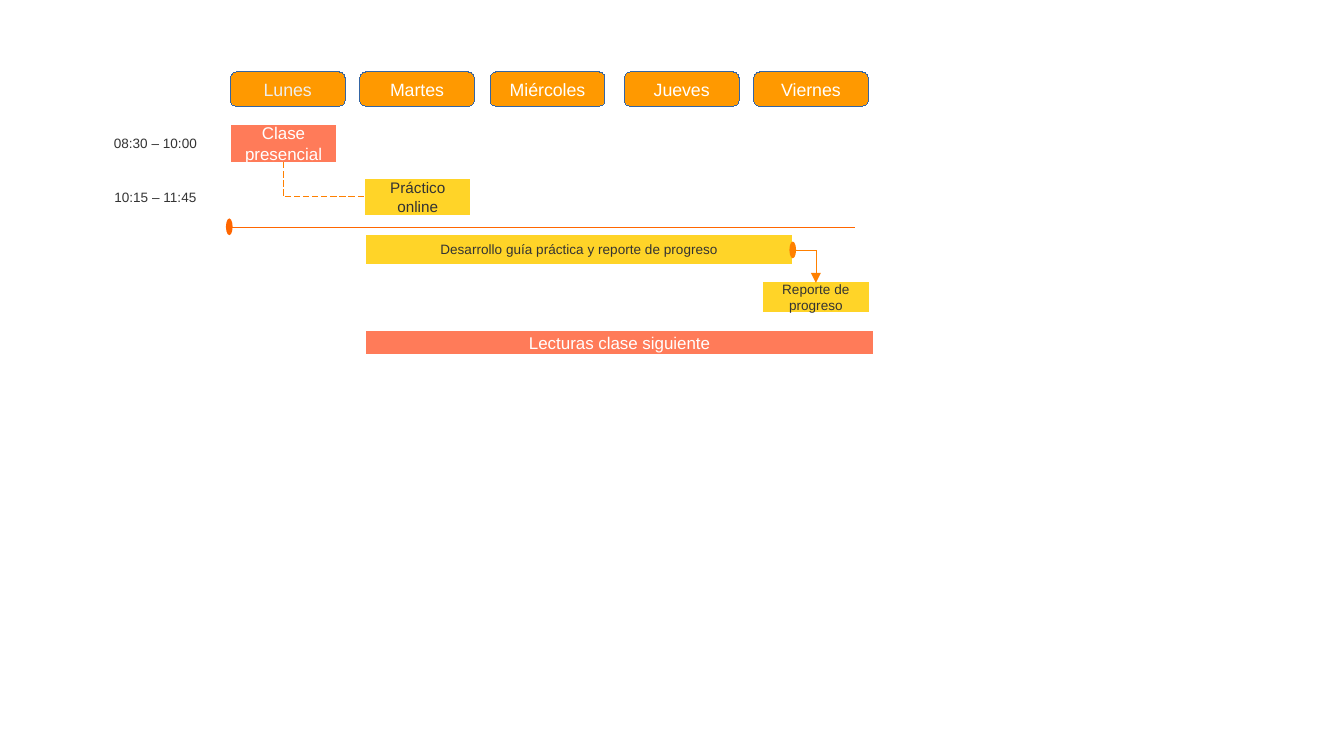
from typing import NamedTuple

from pptx import Presentation, util as u
from pptx.dml.color import RGBColor
from pptx.enum import dml, shapes, text
from pptx.oxml import ns, xmlchemy

ORANGE, CORAL, YELLOW = "FF9900", "FF7B59", "FFD428"
WHITE, DARK, BLUE = "FFFFFF", "333333", "3465A4"
RECTANGLE = shapes.MSO_SHAPE.RECTANGLE
ROUNDED = shapes.MSO_SHAPE.ROUNDED_RECTANGLE
# A width of exactly zero would fall back to the thicker theme line
HAIRLINE = u.Pt(0.01)


class Block(NamedTuple):
    label: str
    left: float
    top: float
    width: float
    height: float
    fill: str
    size: float
    color: str = DARK
    line: str = WHITE
    kind: shapes.MSO_SHAPE = RECTANGLE


class Link(NamedTuple):
    begin: tuple[float, float]
    end: tuple[float, float]
    color: str
    preset: str = "line"
    rotation: int = 0
    dashed: bool = False
    head: str = ""
    tail: str = ""


# Weekdays across the top
DAYS = [
    Block(day, left, 0.59, 0.94, 0.28, ORANGE, 10.5, color, BLUE, ROUNDED)
    for day, left, color in [
        ("Lunes", 1.89, "EEEEEE"),
        ("Martes", 2.95, WHITE),
        ("Miércoles", 4.02, WHITE),
        ("Jueves", 5.12, WHITE),
        ("Viernes", 6.18, WHITE),
    ]
]

# Time slots down the left
HOURS = [
    Block(hours, 0.71, top, 1.13, 0.31, WHITE, 8)
    for hours, top in [("08:30 – 10:00", 1.02), ("10:15 – 11:45", 1.46)]
]

# Activities in the calendar
ACTIVITIES = [
    Block("Clase presencial", 1.89, 1.02, 0.87, 0.31, CORAL, 10, WHITE),
    Block("Práctico\nonline", 2.99, 1.46, 0.87, 0.31, YELLOW, 9),
    Block("Desarrollo guía práctica y reporte de progreso",
          3, 1.92, 3.5, 0.25, YELLOW, 8),
    Block("Reporte de progreso", 6.25, 2.31, 0.88, 0.25, YELLOW, 8),
    Block("Lecturas clase siguiente", 3, 2.71, 4.16, 0.2, CORAL, 10, WHITE),
]

# Divider, class to practice, and work to report
LINKS = [
    Link((1.88, 1.86), (7.01, 1.86), "FF6600", head="oval"),
    Link((2.8, 1.14), (2.52, 1.81), "FF8000", "bentConnector2",
         rotation=270, dashed=True),
    Link((6.5, 2.05), (6.69, 2.32), "FF8000", "bentConnector2",
         head="oval", tail="triangle"),
]
END_SIZES = {"oval": ("lg", "sm"), "triangle": ("med", "med")}


def rgb(value: str) -> RGBColor:
    return RGBColor.from_string(value)


def write_text(shape, content: str, *, size: float, color: str,
               font: str = "Arial") -> None:
    frame = shape.text_frame
    frame.word_wrap = True
    frame.vertical_anchor = text.MSO_ANCHOR.MIDDLE
    frame.text = content
    for paragraph in frame.paragraphs:
        paragraph.alignment = text.PP_ALIGN.CENTER
        paragraph.font.name = font
        paragraph.font.size = u.Pt(size)
        paragraph.font.color.rgb = rgb(color)


def draw_block(slide, block: Block) -> None:
    shape = slide.shapes.add_shape(
        block.kind, u.Inches(block.left), u.Inches(block.top),
        u.Inches(block.width), u.Inches(block.height))
    shape.shadow.inherit = False
    shape.fill.solid()
    shape.fill.fore_color.rgb = rgb(block.fill)
    shape.line.color.rgb = rgb(block.line)
    shape.line.width = HAIRLINE
    write_text(shape, block.label, size=block.size, color=block.color)


def draw_link(slide, link: Link) -> None:
    connector = slide.shapes.add_connector(
        shapes.MSO_CONNECTOR.STRAIGHT,
        *(u.Inches(value) for value in link.begin + link.end))
    connector.line.color.rgb = rgb(link.color)
    connector.line.width = HAIRLINE
    if link.dashed:
        connector.line.dash_style = dml.MSO_LINE.DASH

    # Geometry, line ends and no shadow
    properties = connector._element.spPr
    properties.find(ns.qn("a:prstGeom")).set("prst", link.preset)
    if link.rotation:
        properties.find(ns.qn("a:xfrm")).set("rot", str(link.rotation * 60000))
    outline = properties.find(ns.qn("a:ln"))
    for tag, end in (("a:headEnd", link.head), ("a:tailEnd", link.tail)):
        if end:
            width, length = END_SIZES[end]
            marker = xmlchemy.OxmlElement(tag)
            marker.set("type", end)
            marker.set("w", width)
            marker.set("len", length)
            outline.append(marker)
    properties.append(xmlchemy.OxmlElement("a:effectLst"))


def main() -> None:
    presentation = Presentation()
    presentation.slide_width = u.Inches(11.02)
    presentation.slide_height = u.Inches(6.2)
    slide = presentation.slides.add_slide(presentation.slide_layouts[6])
    for block in DAYS + HOURS + ACTIVITIES:
        draw_block(slide, block)
    for link in LINKS:
        draw_link(slide, link)
    presentation.save("out.pptx")


if __name__ == "__main__":
    main()
